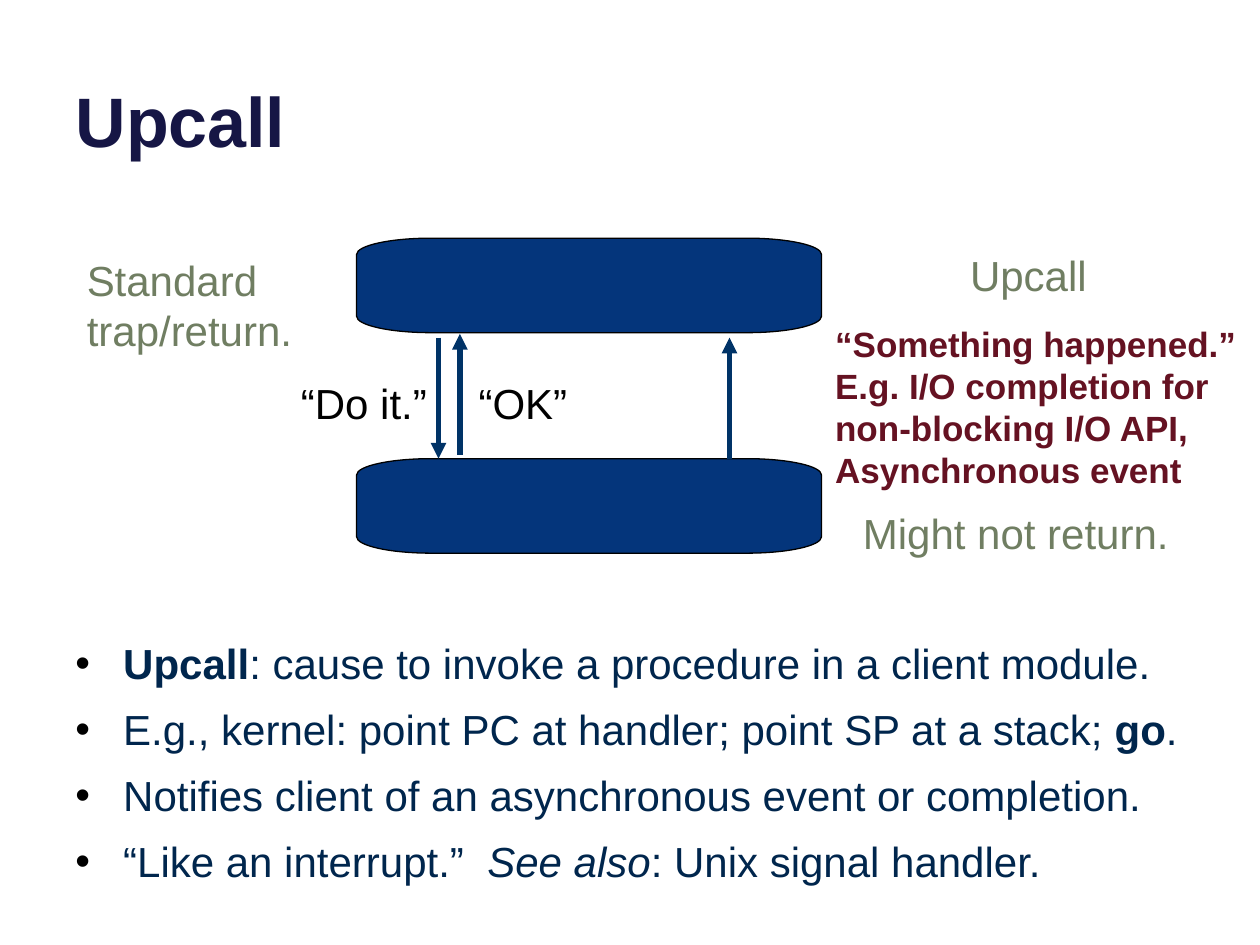
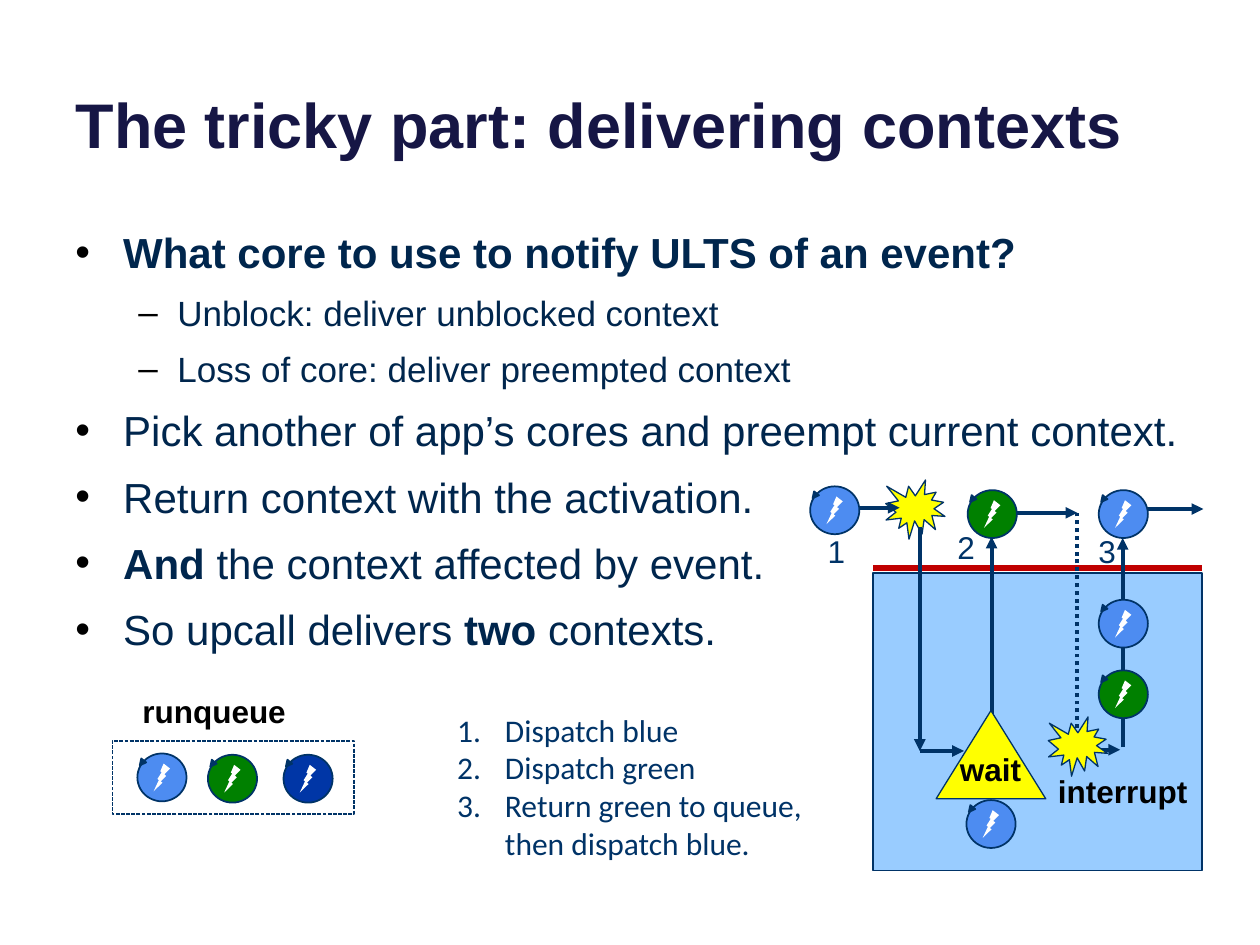
from lxml.etree import SubElement
from pptx import Presentation
from pptx.dml.color import RGBColor
from pptx.enum.dml import MSO_LINE
from pptx.enum.shapes import MSO_CONNECTOR, MSO_SHAPE
from pptx.enum.text import MSO_ANCHOR, MSO_AUTO_SIZE, PP_ALIGN
from pptx.oxml.ns import qn
from pptx.util import Inches, Pt

BLACK = RGBColor(0x00, 0x00, 0x00)
WHITE = RGBColor(0xFF, 0xFF, 0xFF)
TITLE = RGBColor(0x16, 0x16, 0x45)
BODY = RGBColor(0x00, 0x26, 0x4D)
NAVY = RGBColor(0x00, 0x33, 0x67)
LAYER = RGBColor(0x04, 0x35, 0x7B)
MAROON = RGBColor(0x65, 0x12, 0x22)
OLIVE = RGBColor(0x70, 0x7E, 0x62)
KERNEL = RGBColor(0x99, 0xCC, 0xFF)
RED = RGBColor(0xC0, 0x00, 0x00)
YELLOW = RGBColor(0xFF, 0xFF, 0x00)
LIGHT_BLUE = RGBColor(0x4D, 0x8C, 0xF1)
GREEN = RGBColor(0x00, 0x80, 0x00)
DARK_BLUE = RGBColor(0x00, 0x36, 0xA6)

# Bullets: (level, [(text, style)]), style "b" bold, "i" italic
UPCALL_BULLETS = [
    (0, [("Upcall", "b"), (": cause to invoke a procedure in a client module.", "")]),
    (0, [("E.g., kernel: point PC at handler; point SP at a stack; ", ""), ("go", "b"), (".", "")]),
    (0, [("Notifies client of an asynchronous event or completion.", "")]),
    (0, [("“Like an interrupt.”  ", ""), ("See also", "i"), (": Unix signal handler.", "")]),
]
CONTEXT_BULLETS = [
    (0, [("What core to use to notify ULTS of an event?", "b")]),
    (1, [("Unblock: deliver unblocked context", "")]),
    (1, [("Loss of core: deliver preempted context", "")]),
    (0, [("Pick another of app’s cores and preempt current context.", "")]),
    (0, [("Return context with the activation.", "")]),
    (0, [("And", "b"), (" the context affected by event.", "")]),
    (0, [("So upcall delivers", ""), (" two ", "b"), ("contexts.", "")]),
]
# Per level: bullet, left indent, hanging indent, size, space before
LEVELS = [("•", 0.38, 0.38, 24, 9), ("–", 0.81, 0.31, 20, 8)]

# Labels: (text, (left, top, width, height), colour)
UPCALL_LABELS = [
    ("“Do it.”", (2.29, 2.95, 1.36, 0.51), BLACK),
    ("“OK”", (3.7, 2.95, 1.36, 0.51), BLACK),
    ("Standard trap/return.", (0.59, 1.97, 1.88, 0.91), OLIVE),
    ("Upcall", (7.6, 1.93, 1.88, 0.51), OLIVE),
    ("Might not return.", (6.75, 3.98, 2.75, 0.51), OLIVE),
]
EVENT = ("“Something happened.”\nE.g. I/O completion for non-blocking I/O API,\n"
         "Asynchronous event")
DISPATCH_STEPS = "Dispatch blue\nDispatch green\nReturn green to queue, then dispatch blue."
STEP_NUMBERS = [("1", 6.47, 4.17), ("2", 7.5, 4.14), ("3", 8.62, 4.17)]

# Arrows: (x1, y1, x2, y2)
LAYER_ARROWS = [(3.48, 2.68, 3.48, 3.64), (3.65, 3.61, 3.65, 2.65), (5.79, 3.64, 5.79, 2.68)]
CONTEXT_ARROWS = [
    (8.84, 4.04, 9.55, 4.04), (7.84, 4.07, 8.55, 4.07), (7.3, 5.96, 7.65, 5.96),
    (8.91, 5.93, 8.91, 4.27), (7.3, 4.18, 7.3, 5.96), (7.87, 5.96, 7.87, 4.26),
    (8.58, 5.95, 8.89, 5.95), (6.43, 4.03, 7.14, 4.03),
]
# Thread contexts: (left, top, colour)
THREADS = [
    (6.43, 3.86, LIGHT_BLUE), (7.68, 3.89, GREEN), (8.72, 3.89, LIGHT_BLUE),
    (8.72, 4.76, LIGHT_BLUE), (8.72, 5.32, GREEN), (7.67, 6.35, LIGHT_BLUE),
    (1.09, 5.98, LIGHT_BLUE), (1.65, 5.99, GREEN), (2.25, 5.99, DARK_BLUE),
]


def add_titled_slide(prs, title, size):
    slide = prs.slides.add_slide(prs.slide_layouts[5])
    sp = slide.shapes.title
    sp.left, sp.top, sp.width, sp.height = map(Inches, (0.5, -0.37, 9, 1.7))
    tf = sp.text_frame
    tf.auto_size = MSO_AUTO_SIZE.NONE
    tf.vertical_anchor = MSO_ANCHOR.BOTTOM
    tf.text = title
    p = tf.paragraphs[0]
    p.alignment = PP_ALIGN.LEFT
    set_font(p.runs[0].font, size, TITLE, bold=True)
    return slide


def set_font(font, size, color, bold=False, name="Arial"):
    font.name, font.size, font.bold = name, Pt(size), bold
    font.color.rgb = color


def set_bullet(p, left, hanging, char=None):
    """Give the paragraph a black bullet, or a number when no char is given."""
    pPr = p._p.get_or_add_pPr()
    pPr.set("marL", str(Inches(left)))
    pPr.set("indent", str(-Inches(hanging)))
    if char:
        SubElement(SubElement(pPr, qn("a:buClr")), qn("a:srgbClr"), val=str(BLACK))
        SubElement(pPr, qn("a:buFont"), typeface="Arial")
        SubElement(pPr, qn("a:buChar"), char=char)
    else:
        SubElement(pPr, qn("a:buFont"), typeface="+mj-lt")
        SubElement(pPr, qn("a:buAutoNum"), type="arabicPeriod")


def add_text(slide, text, box, size, color, bold=False, name="Arial",
             align=PP_ALIGN.LEFT, wrap=True, numbered=False):
    tf = slide.shapes.add_textbox(*map(Inches, box)).text_frame
    tf.word_wrap = wrap
    tf.text = text
    for p in tf.paragraphs:
        if numbered:
            set_bullet(p, 0.38, 0.38)
        p.alignment = align
        set_font(p.runs[0].font, size, color, bold, name)


def add_bullets(slide, bullets, top, height):
    tf = slide.shapes.add_textbox(*map(Inches, (0.5, top, 9, height))).text_frame
    tf.word_wrap = True
    for i, (level, runs) in enumerate(bullets):
        char, left, hanging, size, before = LEVELS[level]
        p = tf.add_paragraph() if i else tf.paragraphs[0]
        p.level = level
        set_bullet(p, left, hanging, char)
        if i:
            p.space_before = Pt(before)
        for text, style in runs:
            r = p.add_run()
            r.text = text
            set_font(r.font, size, BODY, bold=style == "b")
            r.font.italic = style == "i"


def style_shape(sp, fill, line=None, width=1):
    sp.shadow.inherit = False
    if fill is None:
        sp.fill.background()
    else:
        sp.fill.solid()
        sp.fill.fore_color.rgb = fill
    if line is None:
        sp.line.fill.background()
    else:
        sp.line.color.rgb = line
        sp.line.width = Pt(width)


def add_box(shapes, kind, box, fill, line=None, width=1, flip=None):
    sp = shapes.add_shape(kind, *map(Inches, box))
    style_shape(sp, fill, line, width)
    if flip:
        sp._element.spPr.xfrm.set(flip, "1")
    return sp


def add_line(slide, ends, width, color=NAVY, arrow=True):
    line = slide.shapes.add_connector(MSO_CONNECTOR.STRAIGHT, *map(Inches, ends))
    line.line.color.rgb = color
    line.line.width = Pt(width)
    if arrow:
        SubElement(line.line._get_or_add_ln(), qn("a:tailEnd"), type="triangle")
    SubElement(line._element.spPr, qn("a:effectLst"))
    return line


def add_layer(slide, left, top, width=3.69, height=0.75, rx=0.59, ry=0.13, pull=0.55):
    """Draw a rectangle with elliptical corners, each one a Bezier curve."""
    right, bottom = left + width, top + height
    corners = [  # curve start, corner, curve end
        ((left + rx, top), (left, top), (left, top + ry)),
        ((left, bottom - ry), (left, bottom), (left + rx, bottom)),
        ((right - rx, bottom), (right, bottom), (right, bottom - ry)),
        ((right, top + ry), (right, top), (right - rx, top)),
    ]
    points = []
    for start, corner, end in corners:
        controls = [tuple(a + pull * (c - a) for a, c in zip(p, corner)) for p in (start, end)]
        points += [start, *controls, end]
    points = [(Inches(x), Inches(y)) for x, y in points]
    builder = slide.shapes.build_freeform(*points[0])
    builder.add_line_segments(points[1:] + points[:1], close=True)
    sp = builder.convert_to_shape()
    style_shape(sp, LAYER, BLACK, 0.75)

    segments = list(sp._element.iter(qn("a:lnTo")))
    for i in range(0, len(segments), 4):
        curve, *rest = segments[i:i + 3]
        curve.tag = qn("a:cubicBezTo")
        for segment in rest:
            curve.append(segment[0])
            segment.getparent().remove(segment)


def add_thread(slide, left, top, color):
    """Draw a thread context: a circle with a bolt and an arrow tip on its rim."""
    shapes = slide.shapes.add_group_shape().shapes
    add_box(shapes, MSO_SHAPE.OVAL, (left, top, 0.39, 0.38), color, NAVY)
    add_box(shapes, MSO_SHAPE.LIGHTNING_BOLT, (left + 0.13, top + 0.08, 0.13, 0.22),
            WHITE, flip="flipH")
    tip = add_box(shapes, MSO_SHAPE.ISOSCELES_TRIANGLE,
                  (left + 0.01, top + 0.05, 0.05, 0.05), NAVY, NAVY)
    tip.rotation = 219


def add_burst(slide, left, top):
    add_box(slide.shapes, MSO_SHAPE.EXPLOSION1, (left, top, 0.47, 0.47), YELLOW, NAVY, 0.75)


def build_upcall(prs):
    slide = add_titled_slide(prs, "Upcall", 40)
    add_bullets(slide, UPCALL_BULLETS, 5.01, 1.7)
    for top in (1.89, 3.64):
        add_layer(slide, 2.83, top)
    for ends in LAYER_ARROWS:
        add_line(slide, ends, 3)
    for text, box, color in UPCALL_LABELS:
        add_text(slide, text, box, 24, color)
    add_text(slide, EVENT, (6.53, 2.51, 3.54, 1.45), 20, MAROON, bold=True)


def build_contexts(prs):
    slide = add_titled_slide(prs, "The tricky part: delivering contexts", 36)
    add_bullets(slide, CONTEXT_BULLETS, 1.75, 4.5)

    add_box(slide.shapes, MSO_SHAPE.FLOWCHART_PROCESS, (6.93, 4.55, 2.61, 2.36), KERNEL, NAVY)
    add_burst(slide, 7.03, 3.81)
    add_line(slide, (6.93, 4.51, 9.54, 4.51), 3.25, RED, arrow=False)
    for ends in CONTEXT_ARROWS:
        add_line(slide, ends, 2.25)
    preempt = add_line(slide, (8.55, 5.84, 8.55, 4.07), 2.25, arrow=False)
    preempt.line.dash_style = MSO_LINE.ROUND_DOT
    add_burst(slide, 8.32, 5.69)
    add_box(slide.shapes, MSO_SHAPE.FLOWCHART_MERGE, (7.43, 5.64, 0.87, 0.7),
            YELLOW, NAVY, 0.75, flip="flipV")

    queue = add_box(slide.shapes, MSO_SHAPE.RECTANGLE, (0.89, 5.88, 1.92, 0.58), None, NAVY, 0.75)
    queue.line.dash_style = MSO_LINE.SQUARE_DOT
    for thread in THREADS:
        add_thread(slide, *thread)

    add_text(slide, "wait", (7.52, 5.9, 0.69, 0.4), 18, BLACK, bold=True, wrap=False)
    for text, left, top in (("interrupt", 8.19, 6.08), ("runqueue", 0.98, 5.44)):
        add_text(slide, text, (left, top, 1.44, 0.41), 18, BLACK, bold=True, align=PP_ALIGN.CENTER)
    for number, left, top in STEP_NUMBERS:
        add_text(slide, number, (left, top, 0.34, 0.4), 18, NAVY, wrap=False)
    add_text(slide, DISPATCH_STEPS, (3.53, 5.59, 2.97, 1.31), 18, NAVY,
             name="Calibri", numbered=True)


def main():
    prs = Presentation()
    prs.slide_width, prs.slide_height = Inches(10), Inches(7.5)
    build_upcall(prs)
    build_contexts(prs)
    prs.save("out.pptx")


if __name__ == "__main__":
    main()
